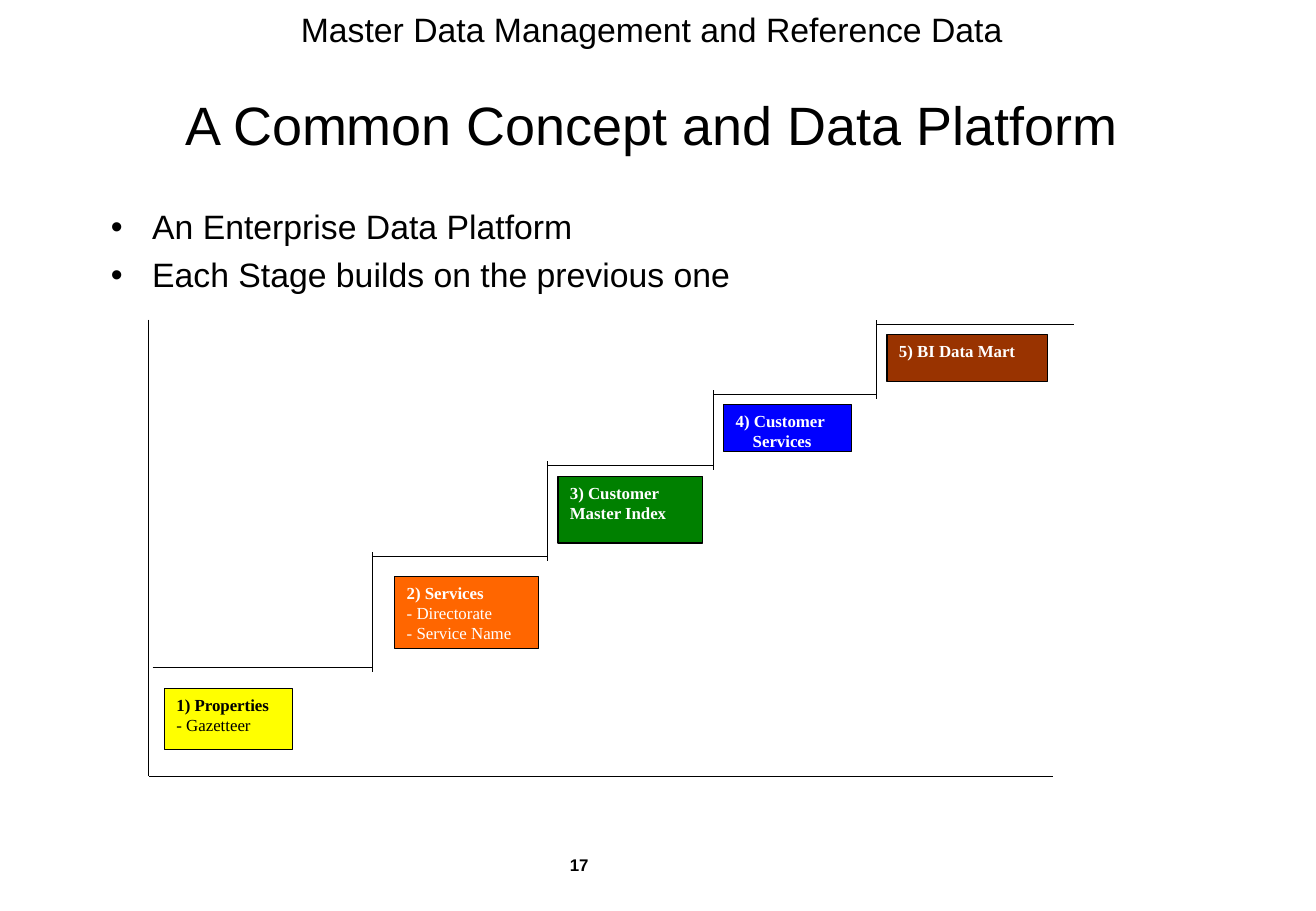
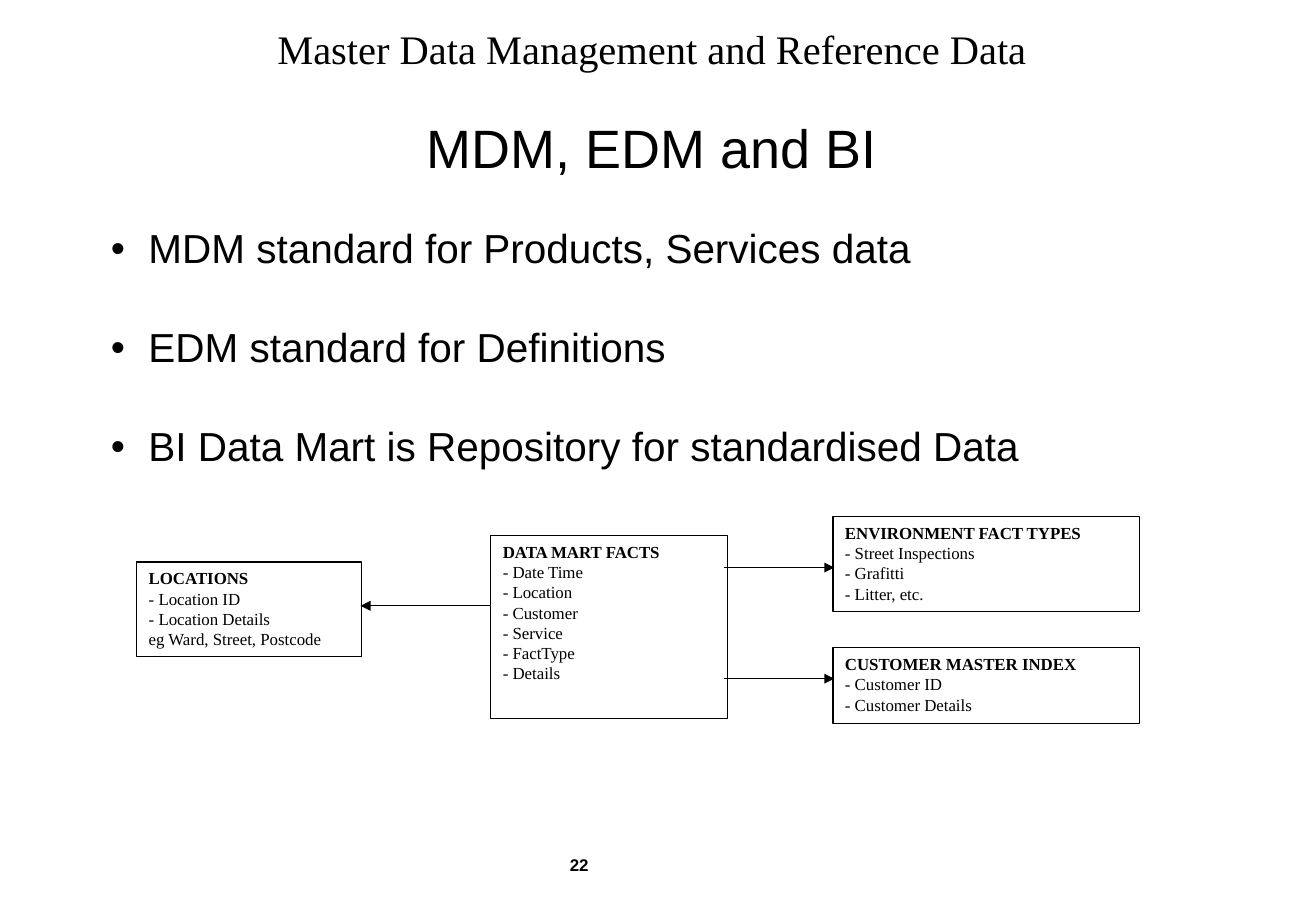
from lxml import etree
from pptx import Presentation
from pptx.dml.color import RGBColor
from pptx.enum.shapes import MSO_CONNECTOR, MSO_SHAPE
from pptx.enum.text import MSO_ANCHOR, MSO_AUTO_SIZE, PP_ALIGN
from pptx.oxml.ns import qn
from pptx.util import Inches, Pt

RECTANGLE, STRAIGHT = MSO_SHAPE.RECTANGLE, MSO_CONNECTOR.STRAIGHT
TOP, NO_AUTOFIT = MSO_ANCHOR.TOP, MSO_AUTO_SIZE.NONE
LEFT, CENTER = PP_ALIGN.LEFT, PP_ALIGN.CENTER
COLOURS = {"black": "000000", "white": "FFFFFF", "yellow": "FFFF00", "orange": "FF6600",
           "green": "008000", "blue": "0000FF", "brown": "993300"}
SANS, SERIF = "Arial", "Times New Roman"
HEADER = "Master Data Management and Reference Data"

presentation = Presentation()
presentation.slide_width, presentation.slide_height = Inches(10.84), Inches(7.5)
# Every position below is a share of the slide, in percent
COLUMN = presentation.slide_width / 100
ROW = presentation.slide_height / 100
CONTENT_LEFT, CONTENT_WIDTH = 7.5, 84.1


def write(shape, place, lines, font, colour="black", indent=0, bullet=None, **spacing):
    """Place a shape and fill it with (text, font values) lines."""
    left, top, width, height = place
    shape.left, shape.width = int(left * COLUMN), int(width * COLUMN)
    shape.top, shape.height = int(top * ROW), int(height * ROW)
    frame = shape.text_frame
    frame.word_wrap, frame.auto_size, frame.vertical_anchor = True, NO_AUTOFIT, TOP
    frame.margin_bottom = 0
    for number, (text, changes) in enumerate(lines):
        paragraph = frame.add_paragraph() if number else frame.paragraphs[0]
        values = {"alignment": LEFT, "line_spacing": 0.93, "space_before": 0} | spacing
        if number == 0:
            values["space_before"] = 0
        for name, value in values.items():
            setattr(paragraph, name, value)
        properties = paragraph._p.get_or_add_pPr()
        margin = changes.get("margin", indent)
        properties.set("marL", str(Inches(margin)))
        properties.set("indent", str(-Inches(indent)))
        if bullet:
            etree.SubElement(properties, qn("a:buChar")).set("char", bullet)
        run = paragraph.add_run()
        run.text = text
        for name, value in (font | changes).items():
            if name != "margin":
                setattr(run.font, name, value)
        run.font.color.rgb = RGBColor.from_string(COLOURS[colour])


def draw_line(slide, start, end, arrow=False):
    (x1, y1), (x2, y2) = start, end
    line = slide.shapes.add_connector(STRAIGHT, int(x1 * COLUMN), int(y1 * ROW),
                                      int(x2 * COLUMN), int(y2 * ROW))
    line.line.width = Pt(0.75)
    line.line.color.rgb = RGBColor.from_string(COLOURS["black"])
    if arrow:
        etree.SubElement(line.line._get_or_add_ln(), qn("a:tailEnd")).set("type", "triangle")
    etree.SubElement(line._element.spPr, qn("a:effectLst"))


# Boxes: place, fill, text colour, bold heading lines, plain lines
pages = [
    {
        "number": "17", "title": "A Common Concept and Data Platform", "title_top": 0.7,
        "header": {"name": SANS, "size": Pt(20)},
        "bullets": ["An Enterprise Data Platform", "Each Stage builds on the previous one"],
        "body": {"top": 22.3, "height": 12, "size": 20, "indent": 0.34, "gap": 6},
        "boxes": [
            ((12.5, 75.6, 9.7, 6.7), "yellow", "black", ["1) Properties"], ["- Gazetteer"]),
            ((30, 63.3, 10.9, 7.9), "orange", "white", ["2) Services"],
             ["- Directorate", "- Service Name"]),
            ((42.4, 52.3, 11, 7.3), "green", "white", ["3) Customer", "Master Index"], []),
            ((55, 44.4, 9.7, 5.2), "blue", "white", ["4) Customer", "Services"], []),
            ((67.4, 36.7, 12.2, 5.2), "brown", "white", ["5) BI Data Mart"], []),
        ],
    },
    {
        "number": "22", "title": "MDM, EDM and BI", "title_top": 2.4,
        "header": {"name": SERIF, "size": Pt(24)},
        "bullets": ["MDM standard for Products, Services data", "EDM standard for Definitions",
                    "BI Data Mart is Repository for standardised Data"],
        "body": {"top": 24.3, "height": 30, "size": 24, "indent": 0.31, "gap": 32},
        "boxes": [
            ((37.3, 58.8, 18, 20.1), "white", "black", ["DATA MART FACTS"],
             ["- Date Time", "- Location", "- Customer", "- Service", "- FactType", "- Details"]),
            ((63.3, 71.1, 23.3, 8.3), "white", "black", ["CUSTOMER MASTER INDEX"],
             ["- Customer ID", "- Customer Details"]),
            ((10.4, 61.7, 17.1, 10.4), "white", "black", ["LOCATIONS"],
             ["- Location ID", "- Location Details", "eg Ward, Street, Postcode"]),
            ((63.3, 56.7, 23.3, 10.4), "white", "black", ["ENVIRONMENT FACT TYPES"],
             ["- Street Inspections", "- Grafitti", "- Litter, etc."]),
        ],
    },
]

slides = []
for page in pages:
    slide = presentation.slides.add_slide(presentation.slide_layouts[1])
    slides.append(slide)
    write(slide.shapes.title, (CONTENT_LEFT, page["title_top"], CONTENT_WIDTH, 20),
          [(HEADER, page["header"]), (page["title"], {})],
          {"name": SANS, "size": Pt(32)}, alignment=CENTER, space_before=Pt(28))
    body = page["body"]
    write(slide.placeholders[1], (CONTENT_LEFT, body["top"], CONTENT_WIDTH, body["height"]),
          [(text, {}) for text in page["bullets"]], {"name": SANS, "size": Pt(body["size"])},
          indent=body["indent"], bullet="•", space_before=Pt(body["gap"]))
    write(slide.shapes.add_textbox(0, 0, 0, 0), (42.4, 93.3, 5.8, 3.5),
          [(page["number"], {})], {"name": SANS, "size": Pt(10), "bold": True})
    for place, fill, colour, headings, details in page["boxes"]:
        box = slide.shapes.add_shape(RECTANGLE, 0, 0, 0, 0)
        box.shadow.inherit = False
        box.fill.solid()
        box.fill.fore_color.rgb = RGBColor.from_string(COLOURS[fill])
        box.line.color.rgb = RGBColor.from_string(COLOURS["black"])
        box.line.width = Pt(0.75)
        lines = [(text, {"bold": True}) for text in headings] + [(text, {}) for text in details]
        lines = [(text, changes | ({"margin": 0.14} if text == "Services" else {}))
                 for text, changes in lines]
        write(box, place, lines, {"name": SERIF, "size": Pt(10), "bold": False}, colour,
              line_spacing=Pt(12))

stairs, facts = slides

# Axes and staircase: each riser runs a little past the treads it joins
origin = (11.3, 85.2)
draw_line(stairs, (11.3, 35.1), origin)
draw_line(stairs, origin, (80, 85.2))
edges = [11.6, 28.3, 41.6, 54.2, 66.6, 81.6]
treads = [73.3, 61.1, 51.1, 43.3, 35.6]
OVERHANG = 0.45
for left, right, height in zip(edges, edges[1:], treads):
    draw_line(stairs, (left, height), (right, height))
for edge, lower, upper in zip(edges[1:], treads, treads[1:]):
    draw_line(stairs, (edge, lower + OVERHANG), (edge, upper - OVERHANG))

# Links from the data mart facts to the other boxes
for start, end, height in [(37.3, 27.4, 66.5), (55, 63.4, 62.3), (55, 63.4, 74.5)]:
    draw_line(facts, (start, height), (end, height), arrow=True)

presentation.save("out.pptx")
